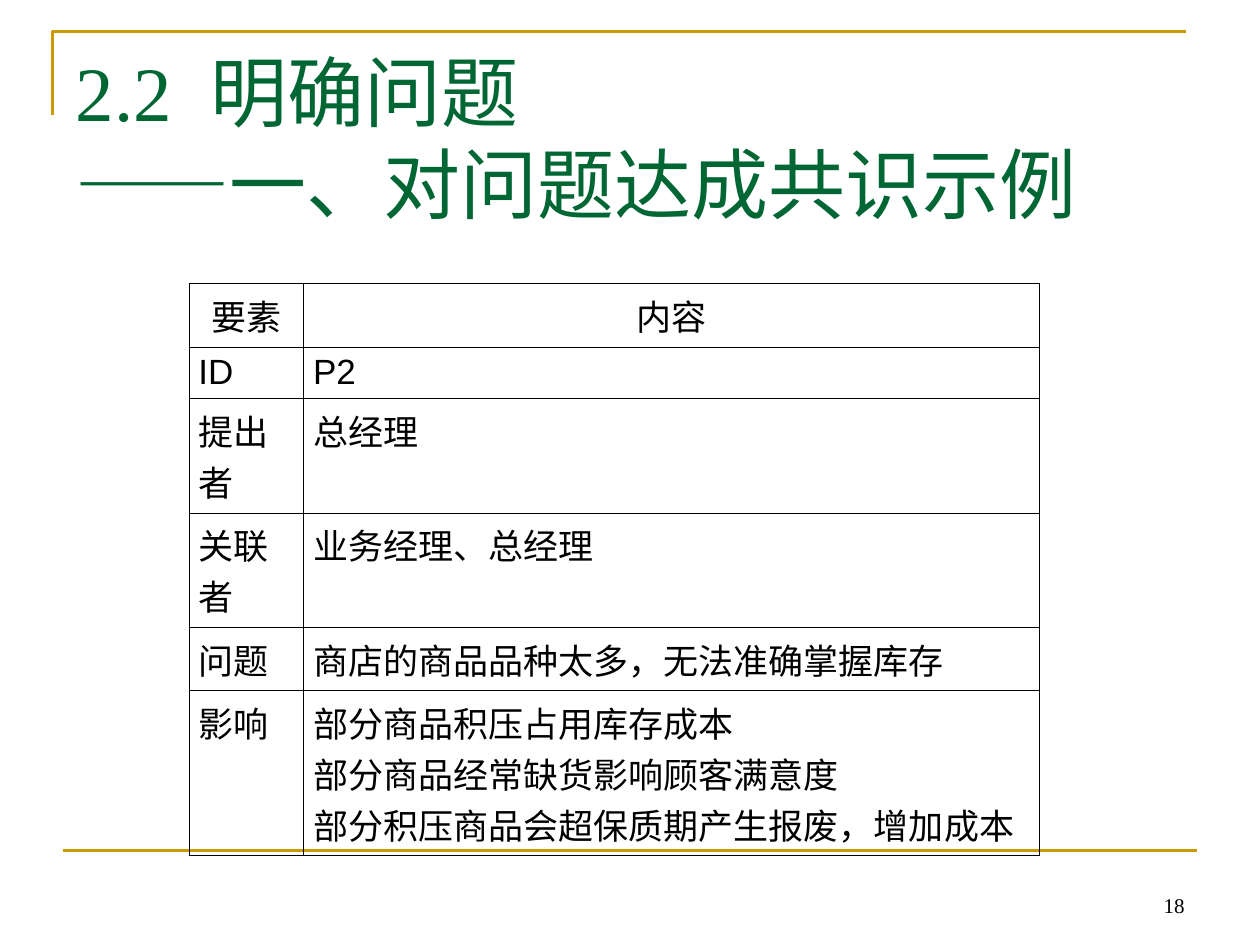
from lxml.etree import SubElement
from pptx import Presentation
from pptx.dml.color import RGBColor
from pptx.enum.lang import MSO_LANGUAGE_ID
from pptx.enum.shapes import MSO_CONNECTOR
from pptx.enum.text import MSO_ANCHOR, PP_ALIGN
from pptx.oxml.ns import qn
from pptx.util import Pt

COLORS = {"rule": "CC9900", "title": "006633", "text": "000000"}
SERIF, SANS = "Times New Roman", "Arial"

# (text, font, extra character spacing in points)
TITLE_RUNS = [
    ("2.2", SERIF, 0),
    (" ", SERIF, 11),
    ("明确问题\v", SERIF, 0),
    ("——", SANS, 0),
    ("一、对问题达成共识示例", SERIF, 0),
]
PROBLEM_ROWS = [
    ("要素", "内容"),
    ("ID", "P2"),
    ("提出者", "总经理"),
    ("关联者", "业务经理、总经理"),
    ("问题", "商店的商品品种太多，无法准确掌握库存"),
    ("影响", "部分商品积压占用库存成本\n"
             "部分商品经常缺货影响顾客满意度\n"
             "部分积压商品会超保质期产生报废，增加成本"),
]
PAGE_NUMBER = "18"
COLUMN_WIDTHS = (65.5, 420.5)
ROW_LINES = (1, 1, 2, 2, 1, 3)
LINE_HEIGHT = 24


def rgb(name):
    return RGBColor.from_string(COLORS[name])


def style_font(font, name, size, color):
    font.name, font.size, font.bold = name, Pt(size), False
    font.color.rgb = rgb(color)


def style_rule(shape):
    shape.line.color.rgb = rgb("rule")
    shape.line.width = Pt(1.5)


def add_frame(slide):
    builder = slide.shapes.build_freeform(Pt(30), Pt(66))
    builder.add_line_segments([(Pt(30), Pt(18)), (Pt(678), Pt(18))], close=False)
    corner = builder.convert_to_shape()
    corner.fill.background()
    corner.shadow.inherit = False
    style_rule(corner)
    footer = slide.shapes.add_connector(
        MSO_CONNECTOR.STRAIGHT, Pt(36), Pt(486), Pt(684), Pt(486))
    style_rule(footer)
    SubElement(footer._element.spPr, qn("a:effectLst"))


def add_title(slide):
    title = slide.shapes.title
    title.left, title.top, title.width, title.height = Pt(36), Pt(21.6), Pt(648), Pt(90)
    frame = title.text_frame
    frame.vertical_anchor = MSO_ANCHOR.TOP
    paragraph = frame.paragraphs[0]
    paragraph.alignment = PP_ALIGN.LEFT
    for text, font_name, spacing in TITLE_RUNS:
        run = paragraph.add_run()
        run.text = text.rstrip("\v")
        style_font(run.font, font_name, 44, "title")
        run.font.language_id = MSO_LANGUAGE_ID.SIMPLIFIED_CHINESE
        if spacing:
            run._r.get_or_add_rPr().set("spc", str(spacing * 100))
        if text.endswith("\v"):
            paragraph.add_line_break()


def add_borders(cell):
    """Draw thin lines on all four sides, ahead of the cell's fill in the XML."""
    properties = cell._tc.get_or_add_tcPr()
    for side in ("lnL", "lnR", "lnT", "lnB"):
        line = SubElement(properties, qn(f"a:{side}"), w=str(Pt(0.45)))
        fill = SubElement(line, qn("a:solidFill"))
        SubElement(fill, qn("a:srgbClr"), val=COLORS["text"])


def add_problem_table(slide):
    table = slide.shapes.add_table(
        len(PROBLEM_ROWS), len(COLUMN_WIDTHS), Pt(108), Pt(162),
        Pt(sum(COLUMN_WIDTHS)), Pt(sum(ROW_LINES) * LINE_HEIGHT)).table
    table.first_row = table.horz_banding = False
    for column, width in zip(table.columns, COLUMN_WIDTHS):
        column.width = Pt(width)
    for row, lines in zip(table.rows, ROW_LINES):
        row.height = Pt(lines * LINE_HEIGHT)
    for row_index, entries in enumerate(PROBLEM_ROWS):
        for column_index, entry in enumerate(entries):
            cell = table.cell(row_index, column_index)
            cell.margin_left = cell.margin_right = Pt(5.4)
            cell.margin_top = cell.margin_bottom = Pt(3.6)
            add_borders(cell)
            cell.fill.background()
            cell.text = entry
            for paragraph in cell.text_frame.paragraphs:
                paragraph.alignment = PP_ALIGN.LEFT if row_index else PP_ALIGN.CENTER
                style_font(paragraph.font, SANS, 20, "text")
                paragraph.runs[0].font.language_id = MSO_LANGUAGE_ID.SIMPLIFIED_CHINESE


def add_page_number(slide):
    frame = slide.shapes.add_textbox(Pt(516), Pt(492), Pt(168), Pt(36)).text_frame
    frame.word_wrap = True
    frame.vertical_anchor = MSO_ANCHOR.BOTTOM
    frame.text = PAGE_NUMBER
    paragraph = frame.paragraphs[0]
    paragraph.alignment = PP_ALIGN.RIGHT
    style_font(paragraph.font, SERIF, 12, "text")


def main():
    presentation = Presentation()
    presentation.slide_width, presentation.slide_height = Pt(720), Pt(540)
    slide = presentation.slides.add_slide(presentation.slide_layouts[5])
    add_frame(slide)
    add_title(slide)
    add_problem_table(slide)
    add_page_number(slide)
    presentation.save("out.pptx")


if __name__ == "__main__":
    main()
